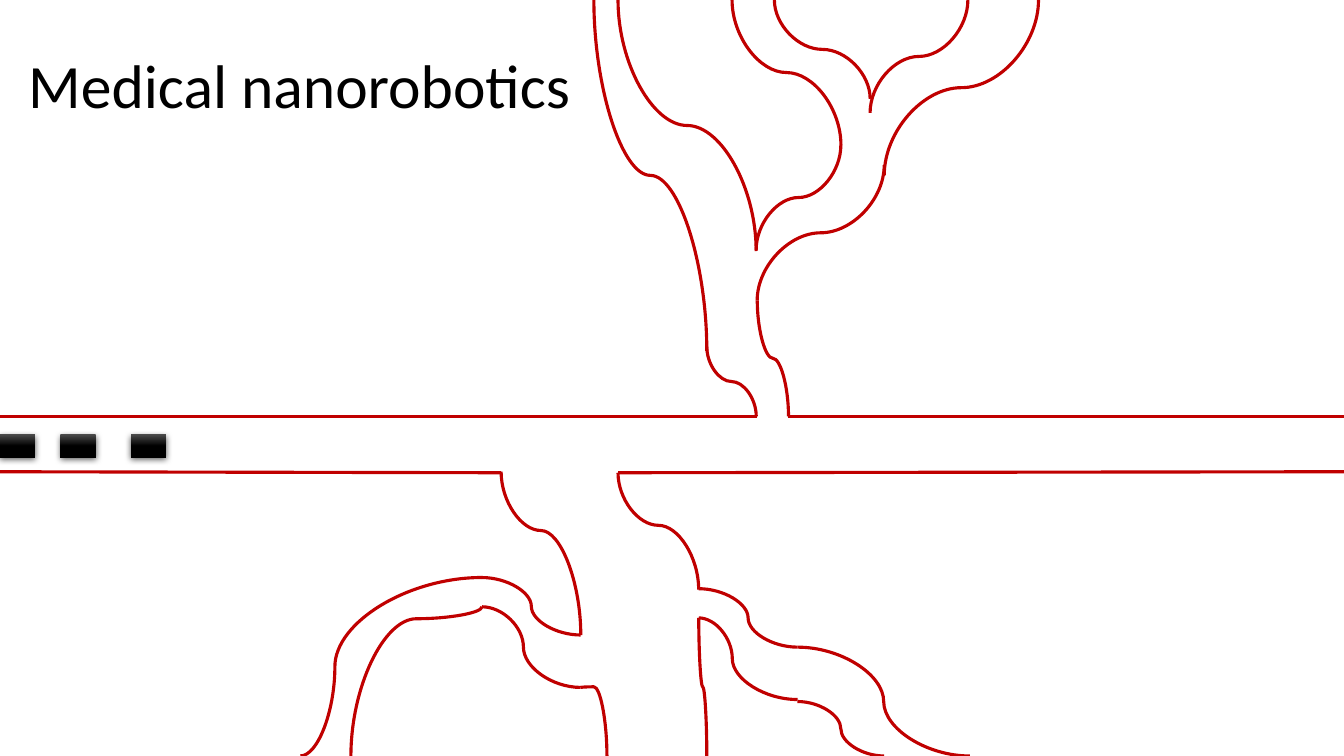
from lxml.etree import SubElement
from pptx import Presentation
from pptx.dml.color import RGBColor
from pptx.enum.shapes import MSO_CONNECTOR, MSO_SHAPE
from pptx.enum.text import MSO_ANCHOR, MSO_AUTO_SIZE, PP_ALIGN
from pptx.oxml.ns import qn
from pptx.util import Inches, Pt

BLOOD = RGBColor(0xC0, 0x00, 0x00)
BLACK = RGBColor(0x00, 0x00, 0x00)
GREY = RGBColor(0x4B, 0x4B, 0x4B)
WIDTH, HEIGHT = 13.33, 7.5

UPPER_ACROSS = []
UPPER_DOWN = [
    (0.09, 0, 1.21, 3.48, 0.5),
    (0.33, 0, 1.7, 2.49, 0.5),
    (1.71, 2.98, 2.97, 1.64, 0.5),
    (1.7, 2.48, 2.54, 1.44, 0.5),
    (1.21, 3.44, 1.7, 4.13, 0.5),
    (1.71, 2.98, 2.02, 4.13, 0.5),
    (4.5, 0, 2.97, 1.74, 0.5),
    (2.83, 1.12, 3.8, 0, 0.5),
    (1.88, 0, 2.83, 0.98, 0.5),
    (1.46, 0, 2.54, 1.44, 0.5),
]
LOWER_ACROSS = [
    (4.03, 1.53, 5.01, 2.34, 0.34),
    (4.03, 1.24, 5.01, 1.82, 0.5),
    (1.88, 1.42, 2.86, 2.22, 0.42),
    (1.88, 1.13, 2.86, 1.7, 0.5),
    (0.08, 2.9, 1.88, 1.13, 0.19),
    (5.01, 1.82, 6.72, 2.9, 0.5),
    (5.01, 2.36, 5.87, 2.9, 0.5),
]
LOWER_DOWN = [
    (2.07, 0.08, 2.86, 1.7, 0.36),
    (3.23, 0.09, 4.03, 1.25, 0.45),
    (2.86, 2.22, 3.12, 2.9, -0.01),
    (4.03, 1.53, 4.11, 2.9, 0.5),
    (1.88, 1.42, 0.58, 2.9, 0.08),
]


def add_wall(s, kind, x1, y1, x2, y2):
    """Draw one vessel wall and return its shape properties."""
    c = s.shapes.add_connector(kind, Inches(x1), Inches(y1), Inches(x2), Inches(y2))
    c.line.color.rgb = BLOOD
    c.line.width = Pt(2.25)
    sp_pr = c._element.spPr
    SubElement(sp_pr, qn("a:effectLst"))
    return sp_pr


def add_curve(s, x1, y1, x2, y2, bend, down):
    """Draw an S-shaped wall that leaves sideways, or vertically if down."""
    rot = 0
    if down:
        dx, dy = x2 - x1, y2 - y1
        rot = 270 if dx > 0 and dy > 0 else 90
        w, h = (-dy, dx) if rot == 270 else (dy, -dx)
        cx, cy = (x1 + x2) / 2, (y1 + y2) / 2
        x1, y1, x2, y2 = cx - w / 2, cy - h / 2, cx + w / 2, cy + h / 2
    sp_pr = add_wall(s, MSO_CONNECTOR.CURVE, x1, y1, x2, y2)
    if rot:
        sp_pr.find(qn("a:xfrm")).set("rot", str(rot * 60000))
    guides = sp_pr.find(qn("a:prstGeom")).find(qn("a:avLst"))
    SubElement(guides, qn("a:gd"), name="adj1", fmla=f"val {round(bend * 100000)}")


def add_branches(s, left, top, across, down):
    """Draw a tree of branching vessels from the given corner."""
    for walls, is_down in ((across, False), (down, True)):
        for x1, y1, x2, y2, bend in walls:
            add_curve(s, left + x1, top + y1, left + x2, top + y2, bend, is_down)


def add_main_vessel(s, left, top, width, height):
    """Draw the horizontal vessel with its openings for the branches."""
    right, bottom = left + width, top + height
    for x1, y1, x2, y2 in (
        (left, bottom, left + 4.97, bottom + 0.01),
        (left + 6.13, bottom + 0.01, right, bottom),
        (left + 7.82, top, right, top),
        (left + 7.51, top, left, top),
    ):
        add_wall(s, MSO_CONNECTOR.STRAIGHT, x1, y1, x2, y2)


def add_robots(s, left, top, width, height):
    """Place the three nanorobots in the main vessel."""
    for offset in (1.3, 0.6, 0):
        sp = s.shapes.add_shape(MSO_SHAPE.RECTANGLE, Inches(left + offset),
                                Inches(top), Inches(width), Inches(height))
        sp.line.fill.background()
        sp.fill.gradient()
        sp.fill.gradient_angle = 270
        for stop, color, pos in zip(sp.fill.gradient_stops, (GREY, BLACK), (0, 0.5)):
            stop.color.rgb = color
            stop.position = pos
        sp.shadow.inherit = False
        effects = sp._element.spPr.find(qn("a:effectLst"))
        shadow = SubElement(effects, qn("a:outerShdw"), blurRad=str(Pt(4.5)),
                            dist=str(Pt(1.5)), dir="5400000", algn="ctr", rotWithShape="0")
        color = SubElement(shadow, qn("a:srgbClr"), val=str(BLACK))
        SubElement(color, qn("a:alpha"), val="63000")


def add_title(s, left, top, width, height):
    """Fill and place the slide title."""
    sp = s.shapes.title
    sp.left, sp.top = Inches(left), Inches(top)
    sp.width, sp.height = Inches(width), Inches(height)
    tf = sp.text_frame
    tf.auto_size = MSO_AUTO_SIZE.NONE
    tf.vertical_anchor = MSO_ANCHOR.BOTTOM
    p = tf.paragraphs[0]
    p.alignment = PP_ALIGN.LEFT
    p.line_spacing = 0.9
    r = p.add_run()
    r.text = "Medical nanorobotics"
    r.font.name = "Calibri"
    r.font.size = Pt(44)
    r.font.color.rgb = BLACK


def main():
    """Build the slide and save it."""
    prs = Presentation()
    prs.slide_width, prs.slide_height = Inches(WIDTH), Inches(HEIGHT)
    s = prs.slides.add_slide(prs.slide_layouts[5])
    add_branches(s, 2.9, 4.6, LOWER_ACROSS, LOWER_DOWN)
    add_branches(s, 5.8, 0, UPPER_ACROSS, UPPER_DOWN)
    add_main_vessel(s, 0, 4.13, WIDTH, 0.55)
    add_robots(s, 0, 4.31, 0.35, 0.23)
    add_title(s, 0.18, -0.19, 11.5, 1.45)
    prs.save("out.pptx")


if __name__ == "__main__":
    main()
